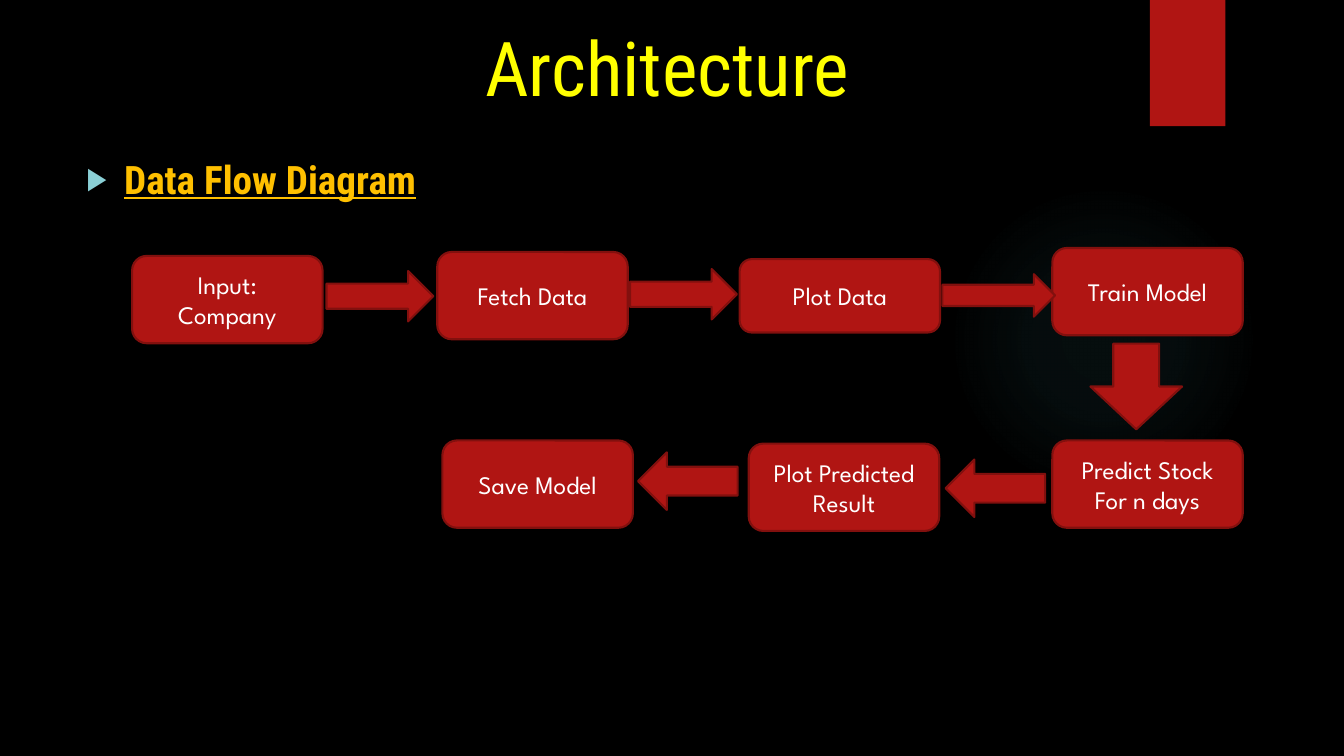
from pptx import Presentation
from pptx.dml.color import RGBColor
from pptx.enum.shapes import MSO_SHAPE as Shape
from pptx.enum.text import MSO_ANCHOR as Anchor, PP_ALIGN as Align
from pptx.oxml import parse_xml
from pptx.oxml.ns import nsdecls
from pptx.util import Cm, Pt

# Content: lengths in cm
TITLE = "Architecture"
HEAD = "Data Flow Diagram"
RED, EDGE, GLOW = "B01513", "82100E", "50B9C1"
BOX = (4.8, 2.2)
STEPS = [  # text, left, top, size
    ("Input: Company", 3.33, 6.45, BOX),
    ("Fetch Data", 11.02, 6.35, BOX),
    ("Plot Data", 18.64, 6.53, (5.05, 1.85)),
    ("Train Model", 26.52, 6.25, BOX),
    ("Predict Stock For n days", 26.52, 11.1, BOX),
    ("Plot Predicted Result", 18.87, 11.18, BOX),
    ("Save Model", 11.15, 11.1, BOX),
]
ARROWS = [  # kind, left, top, width, height
    (Shape.RIGHT_ARROW, 8.23, 6.83, 2.69, 1.27),
    (Shape.RIGHT_ARROW, 15.88, 6.78, 2.69, 1.27),
    (Shape.RIGHT_ARROW, 23.75, 6.91, 2.84, 1.07),
    (Shape.DOWN_ARROW, 27.48, 8.66, 2.31, 2.16),
    (Shape.LEFT_ARROW, 23.83, 11.58, 2.51, 1.45),
    (Shape.LEFT_ARROW, 16.08, 11.4, 2.51, 1.45),
]
STOPS = [(0, 7), (36, 6), (69, 0)]  # position and opacity in percent


def rgb(code):
    return RGBColor.from_string(code)


def write(frame, text, font, size, color, align):
    frame.text = text
    frame.word_wrap = True
    para = frame.paragraphs[0]
    para.alignment = align
    face = para.runs[0].font
    face.name, face.size = font, Pt(size)
    face.color.rgb = rgb(color)
    return para


def draw(kind, left, top, width, height, edge=None):
    item = slide.shapes.add_shape(kind, Cm(left), Cm(top), Cm(width), Cm(height))
    item.shadow.inherit = False
    item.fill.solid()
    item.fill.fore_color.rgb = rgb(RED)
    if edge:
        item.line.color.rgb = rgb(edge)
        item.line.width = Pt(1.5)
    else:
        item.line.fill.background()
    return item


# Slide
deck = Presentation()
deck.slide_width, deck.slide_height = Cm(33.87), Cm(19.05)
slide = deck.slides.add_slide(deck.slide_layouts[5])
slide.background.fill.solid()
slide.background.fill.fore_color.rgb = rgb("000000")

# Soft glow and red tab
glow = draw(Shape.OVAL, 23.9, 4.65, 7.82, 7.82)
stops = "".join(
    f'<a:gs pos="{pos * 1000}"><a:srgbClr val="{GLOW}">'
    f'<a:alpha val="{alpha * 1000}"/></a:srgbClr></a:gs>'
    for pos, alpha in STOPS)
props = glow.element.spPr
solid = props.find("{*}solidFill")
props.replace(solid, parse_xml(
    f'<a:gradFill {nsdecls("a")}><a:gsLst>{stops}</a:gsLst><a:path path="circle">'
    '<a:fillToRect l="50000" t="50000" r="50000" b="50000"/></a:path></a:gradFill>'))
draw(Shape.RECTANGLE, 28.98, 0, 1.9, 3.18)

# Title
title = slide.shapes.title
title.left, title.top, title.width, title.height = Cm(7.7), Cm(0.41), Cm(18.24), Cm(1.65)
write(title.text_frame, TITLE, "Roboto Condensed", 54, "FFFF00", Align.CENTER)
title.text_frame.vertical_anchor = Anchor.TOP

# Heading with an arrow bullet
note = slide.shapes.add_textbox(Cm(1.93), Cm(3.78), Cm(29.79), Cm(13.87))
para = write(note.text_frame, HEAD, "Roboto Condensed", 28, "FFC000", Align.LEFT)
para.space_before = Pt(10)
para.runs[0].font.bold = para.runs[0].font.underline = True
form = para._p.get_or_add_pPr()
form.set("marL", str(Cm(0.95)))
form.set("indent", str(-Cm(0.95)))
for tag in ('buClr><a:srgbClr val="8AD0D6"/></a:buClr', 'buSzPct val="80000"/',
            'buFont typeface="Arial"/', 'buChar char="▶"/'):
    name = tag.split(">")[0].split()[0]
    body = f"<a:{tag}>"
    form.append(parse_xml(body.replace(f"a:{name}", f'a:{name} {nsdecls("a")}', 1)))

# Steps
for text, left, top, size in STEPS:
    step = draw(Shape.ROUNDED_RECTANGLE, left, top, *size, EDGE)
    write(step.text_frame, text, "League Spartan", 18, "FFFFFF", Align.CENTER)
    step.text_frame.vertical_anchor = Anchor.MIDDLE

# Arrows
for arrow in ARROWS:
    draw(*arrow, EDGE)

deck.save("out.pptx")
